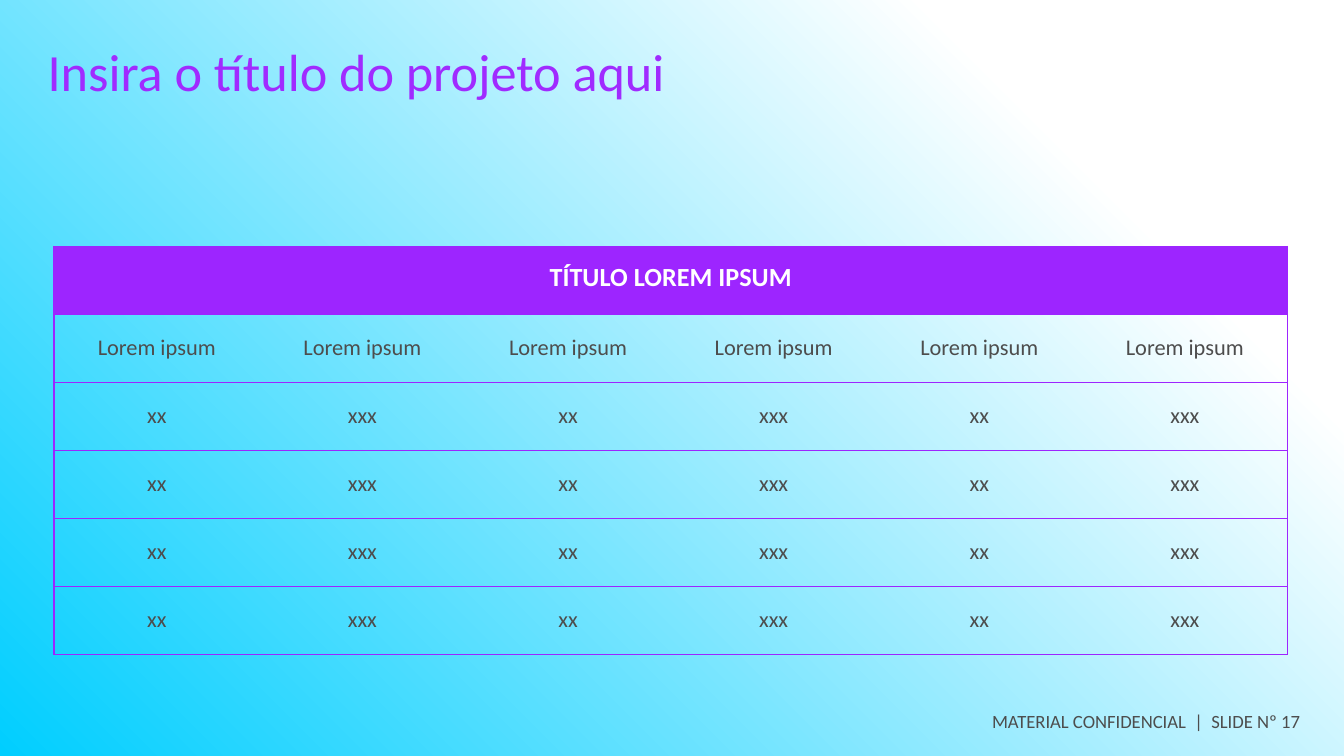
from dataclasses import dataclass

from lxml.etree import SubElement
from pptx import Presentation
from pptx.dml.color import RGBColor
from pptx.enum.text import MSO_ANCHOR, PP_ALIGN
from pptx.oxml.ns import qn
from pptx.util import Cm, Pt

TITLE = "Insira o título do projeto aqui"
TABLE_TITLE = "TÍTULO LOREM IPSUM"
COLUMN_COUNT = 6
HEADINGS = ["Lorem ipsum"] * COLUMN_COUNT
VALUES = ["xx", "xxx"] * (COLUMN_COUNT // 2)
BODY_ROWS = [HEADINGS] + [VALUES] * 4
FOOTER = "MATERIAL CONFIDENCIAL  |  SLIDE Nº 17"


@dataclass(frozen=True)
class Theme:
    font: str = "Calibri"
    title: str = "A02BFF"
    purple: str = "9D25FF"
    grey: str = "4D4D4D"
    white: str = "FFFFFF"
    cyan: str = "00CEFF"
    title_size: int = 28
    heading_size: int = 14
    cell_size: int = 12
    footer_size: int = 10
    line_spacing: int = 14
    border: float = 0.75


THEME = Theme()


def place(shape, left, top, width, height):
    shape.left, shape.top = Cm(left), Cm(top)
    shape.width, shape.height = Cm(width), Cm(height)


def add_run(paragraph, text, size, color, bold=False):
    run = paragraph.add_run()
    run.text = text
    run.font.name = THEME.font
    run.font.size = Pt(size)
    run.font.bold = bold
    run.font.color.rgb = RGBColor.from_string(color)


def write_line(shape, text, size, color):
    """Put one left-aligned line at the top of a frame without insets."""
    frame = shape.text_frame
    frame.word_wrap = True
    frame.vertical_anchor = MSO_ANCHOR.TOP
    frame.margin_left = frame.margin_right = 0
    frame.margin_top = frame.margin_bottom = 0
    paragraph = frame.paragraphs[0]
    paragraph.alignment = PP_ALIGN.LEFT
    paragraph.line_spacing = 1.0
    add_run(paragraph, text, size, color)


def set_borders(cell, visible_sides):
    """Draw the named sides (L, R, T, B); call before filling the cell."""
    properties = cell._tc.get_or_add_tcPr()
    for side in "LRTB":
        line = SubElement(properties, qn(f"a:ln{side}"), w=str(Pt(THEME.border)))
        if side in visible_sides:
            fill = SubElement(line, qn("a:solidFill"))
            SubElement(fill, qn("a:srgbClr"), val=THEME.purple)
        else:
            SubElement(line, qn("a:noFill"))


def write_cell(cell, text, size, color, bold=False):
    cell.vertical_anchor = MSO_ANCHOR.MIDDLE
    paragraph = cell.text_frame.paragraphs[0]
    paragraph.alignment = PP_ALIGN.CENTER
    paragraph.line_spacing = Pt(THEME.line_spacing)
    add_run(paragraph, text, size, color, bold)


def paint_background(slide):
    fill = slide.background.fill
    fill.gradient()
    fill.gradient_angle = 45
    stops = [(0, THEME.cyan), (0.8, THEME.white)]
    for stop, (position, color) in zip(fill.gradient_stops, stops):
        stop.position = position
        stop.color.rgb = RGBColor.from_string(color)


def add_data_table(slide, left, top, width, height):
    row_count = len(BODY_ROWS) + 1
    table = slide.shapes.add_table(
        row_count, COLUMN_COUNT, Cm(left), Cm(top), Cm(width), Cm(height)
    ).table
    table.horz_banding = False
    for column in table.columns:
        column.width = Cm(width / COLUMN_COUNT)
    for row in table.rows:
        row.height = Cm(height / row_count)

    for row in range(row_count):
        for column in range(COLUMN_COUNT):
            cell = table.cell(row, column)
            sides = "TB"
            if column == 0:
                sides += "L"
            if column == COLUMN_COUNT - 1 or row == 0:
                sides += "R"
            set_borders(cell, sides)
            if row == 0:
                cell.fill.solid()
                cell.fill.fore_color.rgb = RGBColor.from_string(THEME.purple)
            else:
                cell.fill.background()
                write_cell(cell, BODY_ROWS[row - 1][column], THEME.cell_size, THEME.grey)

    heading = table.cell(0, 0)
    heading.merge(table.cell(0, COLUMN_COUNT - 1))
    write_cell(heading, TABLE_TITLE, THEME.heading_size, THEME.white, bold=True)


def main():
    presentation = Presentation()
    presentation.slide_width, presentation.slide_height = Cm(25.4), Cm(14.29)
    slide = presentation.slides.add_slide(presentation.slide_layouts[5])
    paint_background(slide)
    add_data_table(slide, 1.02, 4.66, 23.32, 7.72)

    footer = slide.shapes.add_textbox(0, 0, 0, 0)
    place(footer, 18.75, 13.41, 6.15, 0.48)
    write_line(footer, FOOTER, THEME.footer_size, THEME.grey)

    title = slide.shapes.title
    place(title, 0.9, 0.74, 12.3, 2.62)
    write_line(title, TITLE, THEME.title_size, THEME.title)

    presentation.save("out.pptx")


if __name__ == "__main__":
    main()
